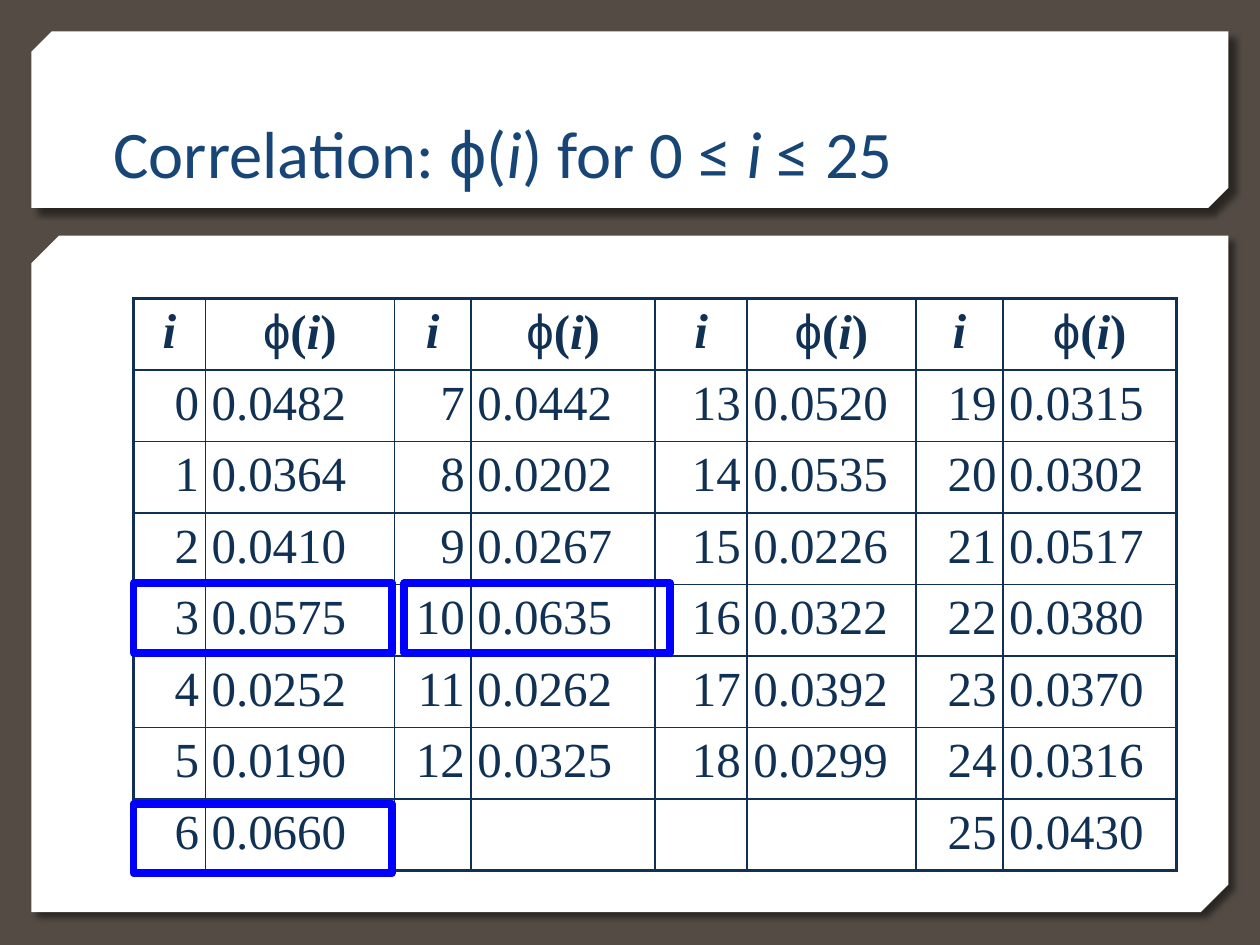
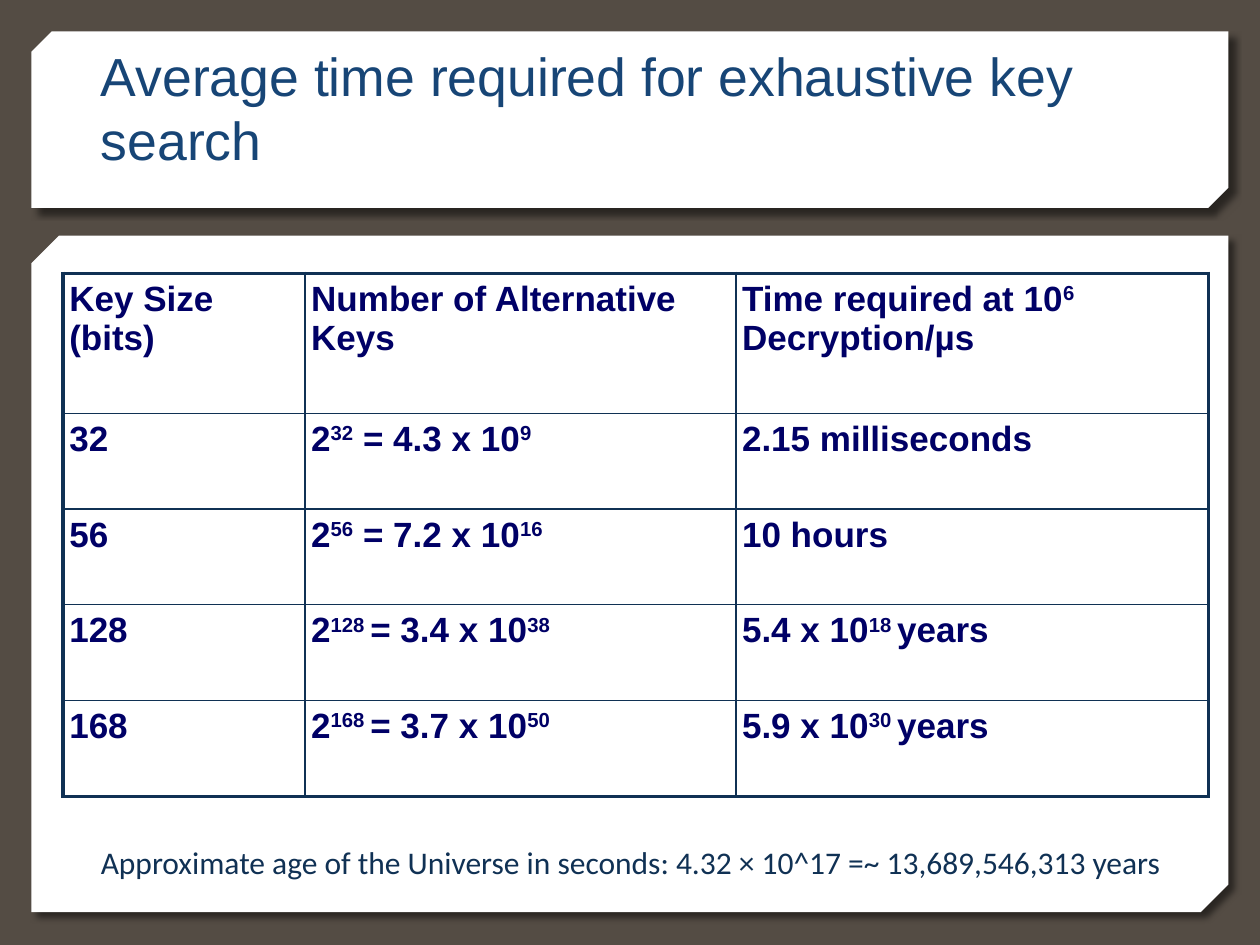
import pptx
import pptx.dml.color
import pptx.enum.shapes
import pptx.enum.text
import pptx.oxml
import pptx.oxml.ns
import pptx.util

Inches, Pt = pptx.util.Inches, pptx.util.Pt
ALIGN = pptx.enum.text.PP_ALIGN
ANCHOR = pptx.enum.text.MSO_ANCHOR
SHAPE = pptx.enum.shapes.MSO_SHAPE

COLOURS = {
    "backdrop": "544C44", "panel": "FFFFFF", "shadow": "000000",
    "title": "174576", "ink": "103154", "navy": "000066", "highlight": "0000FF",
}
INSET = 0.05
THICK, THIN = 2.25, 1

# Content: in a marked-up text, every second piece between bars is emphasised
CORRELATION_TITLE = "Correlation: ||ϕ||(|i|) for 0 ≤ |i| ≤ 25"
CORRELATION_HEADER = ["|i|", "ϕ||(|i|)"]
CORRELATIONS = [
    ["0.0482", "0.0364", "0.0410", "0.0575", "0.0252", "0.0190", "0.0660"],
    ["0.0442", "0.0202", "0.0267", "0.0635", "0.0262", "0.0325"],
    ["0.0520", "0.0535", "0.0226", "0.0322", "0.0392", "0.0299"],
    ["0.0315", "0.0302", "0.0517", "0.0380", "0.0370", "0.0316", "0.0430"],
]
HIGHLIGHTS = [(1.06, 6.38, 2.05), (3.21, 4.63, 2.11), (1.06, 4.63, 2.05)]

SEARCH_TITLE = "Average time required for exhaustive key search"
SEARCH_ROWS = [
    ["Key Size (bits)", "Number of Alternative Keys", "Time required at 10|6| Decryption/µs"],
    ["32", "2|32| = 4.3 x 10|9|", "2.15 milliseconds"],
    ["56", "2|56| = 7.2 x 10|16|", "10 hours"],
    ["128", "2|128 |= 3.4 x 10|38|", "5.4 x 10|18 |years"],
    ["168", "2|168 |= 3.7 x 10|50|", "5.9 x 10|30 |years"],
]
UNIVERSE_NOTE = "Approximate age of the Universe in seconds: 4.32 × 10^17 =~ 13,689,546,313 years"

# Text styles
TITLE = {"font": "Calibri", "size": 38, "colour": "title", "emphasis": "italic"}
SEARCH_HEADING = {**TITLE, "font": "Arial", "size": 30.6}
NUMBER = {"font": "Times New Roman", "size": 28, "colour": "ink"}
HEADER = {**NUMBER, "bold": True, "emphasis": "italic"}
SEARCH_CELL = {"font": "Arial", "size": 20, "colour": "navy", "bold": True,
               "emphasis": "superscript"}
NOTE = {"font": "Calibri", "size": 18, "colour": "ink"}


def rgb(name):
    return pptx.dml.color.RGBColor.from_string(COLOURS[name])


def write(paragraph, text, style, align=ALIGN.LEFT):
    paragraph.alignment = align
    for index, piece in enumerate(text.split("|")):
        if not piece:
            continue
        run = paragraph.add_run()
        run.text = piece
        is_phi = piece == "ϕ"
        run.font.name = "Arial" if is_phi else style["font"]
        run.font.size = Pt(style["size"])
        run.font.color.rgb = rgb(style["colour"])
        run.font.bold = style.get("bold", False) and not is_phi
        if index % 2 and style["emphasis"] == "italic":
            run.font.italic = True
        elif index % 2:
            run.font._element.set("baseline", "30000")


def set_margins(target):
    for side in ("left", "right", "top", "bottom"):
        setattr(target, f"margin_{side}", Inches(INSET))


def add_text(slide, box, text, style, anchor=ANCHOR.TOP):
    frame = slide.shapes.add_textbox(*map(Inches, box)).text_frame
    frame.word_wrap = True
    frame.vertical_anchor = anchor
    set_margins(frame)
    write(frame.paragraphs[0], text, style)


def add_panel(slide, top, height, snip):
    panel = slide.shapes.add_shape(SHAPE.SNIP_2_DIAG_RECTANGLE,
                                   *map(Inches, (0.25, top, 9.5, height)))
    panel.adjustments[0], panel.adjustments[1] = snip / height, 0
    panel.fill.solid()
    panel.fill.fore_color.rgb = rgb("panel")
    panel.line.fill.background()
    panel.shadow.inherit = False
    effects = panel._element.spPr.find(pptx.oxml.ns.qn("a:effectLst"))
    effects.append(pptx.oxml.parse_xml(
        f'<a:outerShdw {pptx.oxml.ns.nsdecls("a")} blurRad="{Pt(4)}" dist="{Pt(5)}" '
        f'dir="2700000" algn="tl" rotWithShape="0"><a:srgbClr val="{COLOURS["shadow"]}">'
        '<a:alpha val="50000"/></a:srgbClr></a:outerShdw>'))


def start_slide(presentation, title, title_box, title_style):
    slide = presentation.slides.add_slide(presentation.slide_layouts[6])
    slide.background.fill.solid()
    slide.background.fill.fore_color.rgb = rgb("backdrop")
    add_panel(slide, 1.87, 5.37, 0.22)
    add_panel(slide, 0.25, 1.4, 0.16)
    add_text(slide, title_box, title, title_style, ANCHOR.BOTTOM)
    return slide


def set_borders(cell, widths):
    properties = cell._tc.get_or_add_tcPr()
    for side, width in widths.items():
        properties.append(pptx.oxml.parse_xml(
            f'<a:ln{side} {pptx.oxml.ns.nsdecls("a")} w="{Pt(width)}"><a:solidFill>'
            f'<a:srgbClr val="{COLOURS["ink"]}"/></a:solidFill></a:ln{side}>'))


def add_grid(slide, left, top, widths, heights):
    """Add an unfilled table with a thick frame and thin inner rules."""
    table = slide.shapes.add_table(len(heights), len(widths), *map(
        Inches, (left, top, sum(widths), sum(heights)))).table
    table.first_row = table.horz_banding = False
    for column, width in zip(table.columns, widths):
        column.width = Inches(width)
    for row, height in zip(table.rows, heights):
        row.height = Inches(height)
    last_row, last_column = len(heights) - 1, len(widths) - 1
    for r in range(len(heights)):
        for c in range(len(widths)):
            cell = table.cell(r, c)
            set_margins(cell)
            set_borders(cell, {
                "L": THICK if c == 0 else THIN, "R": THICK if c == last_column else THIN,
                "T": THICK if r == 0 else THIN, "B": THICK if r == last_row else THIN})
            cell.fill.background()
    return table


def build_correlation_slide(presentation):
    slide = start_slide(presentation, CORRELATION_TITLE, (0.85, 0.32, 8.29, 1.25), TITLE)
    table = add_grid(slide, 1.06, 2.37, [0.57, 1.5, 0.61, 1.46, 0.73, 1.34, 0.69, 1.38],
                     [0.567] * 8)
    shift = 0
    for pair, values in enumerate(CORRELATIONS):
        index_column, value_column = 2 * pair, 2 * pair + 1
        for column, heading in zip((index_column, value_column), CORRELATION_HEADER):
            write(table.cell(0, column).text_frame.paragraphs[0], heading, HEADER, ALIGN.CENTER)
        for row, value in enumerate(values, 1):
            write(table.cell(row, index_column).text_frame.paragraphs[0], str(shift),
                  NUMBER, ALIGN.RIGHT)
            write(table.cell(row, value_column).text_frame.paragraphs[0], value, NUMBER)
            shift += 1

    # Frames around the largest correlations
    for left, top, width in HIGHLIGHTS:
        frame = slide.shapes.add_shape(SHAPE.RECTANGLE, *map(Inches, (left, top, width, 0.55)))
        frame.shadow.inherit = False
        frame.fill.background()
        frame.line.color.rgb = rgb("highlight")
        frame.line.width = Pt(4.5)


def build_search_slide(presentation):
    slide = start_slide(presentation, SEARCH_TITLE, (0.75, 0.33, 8.5, 1.08), SEARCH_HEADING)
    table = add_grid(slide, 0.5, 2.17, [1.92, 3.42, 3.75], [1.11] + [0.76] * 4)
    for r, row in enumerate(SEARCH_ROWS):
        for c, text in enumerate(row):
            write(table.cell(r, c).text_frame.paragraphs[0], text, SEARCH_CELL)
    add_text(slide, (0.75, 6.64, 8.67, 0.38), UNIVERSE_NOTE, NOTE)


def main():
    presentation = pptx.Presentation()
    presentation.slide_width, presentation.slide_height = Inches(10), Inches(7.5)
    build_correlation_slide(presentation)
    build_search_slide(presentation)
    presentation.save("out.pptx")


if __name__ == "__main__":
    main()
